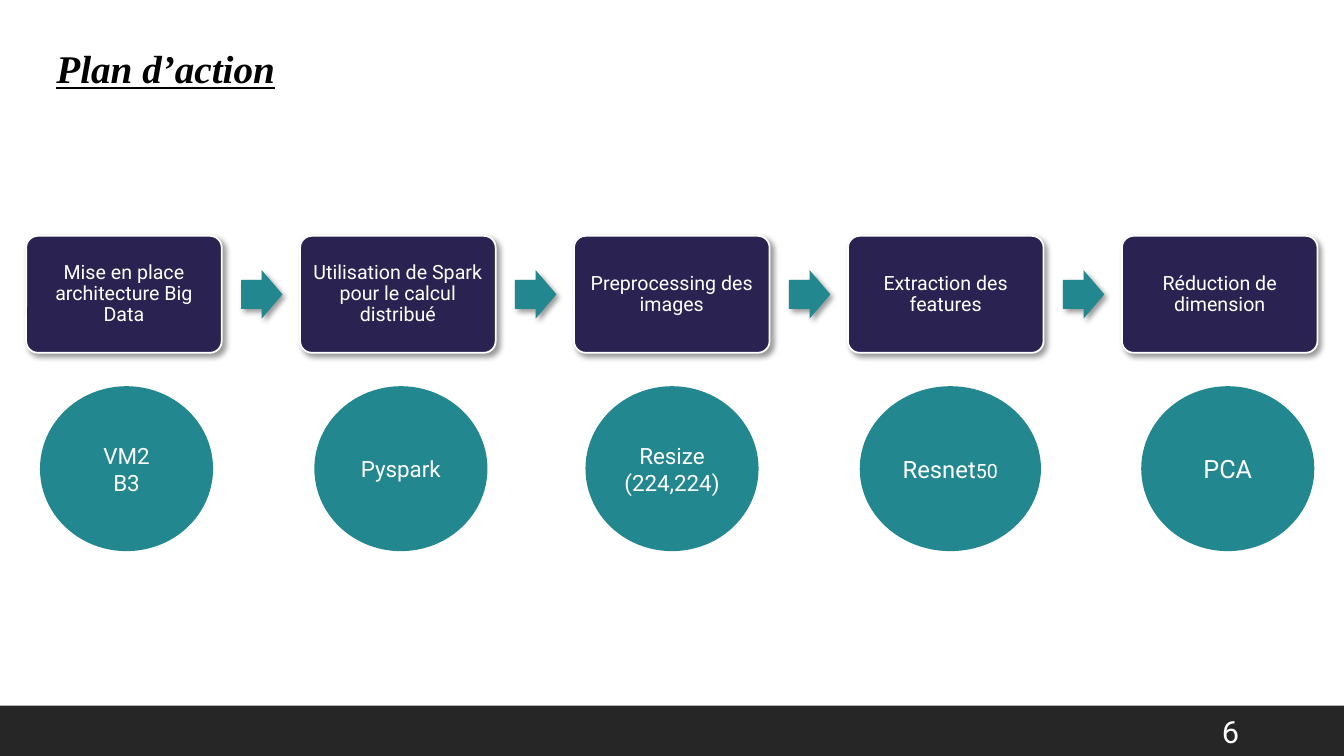
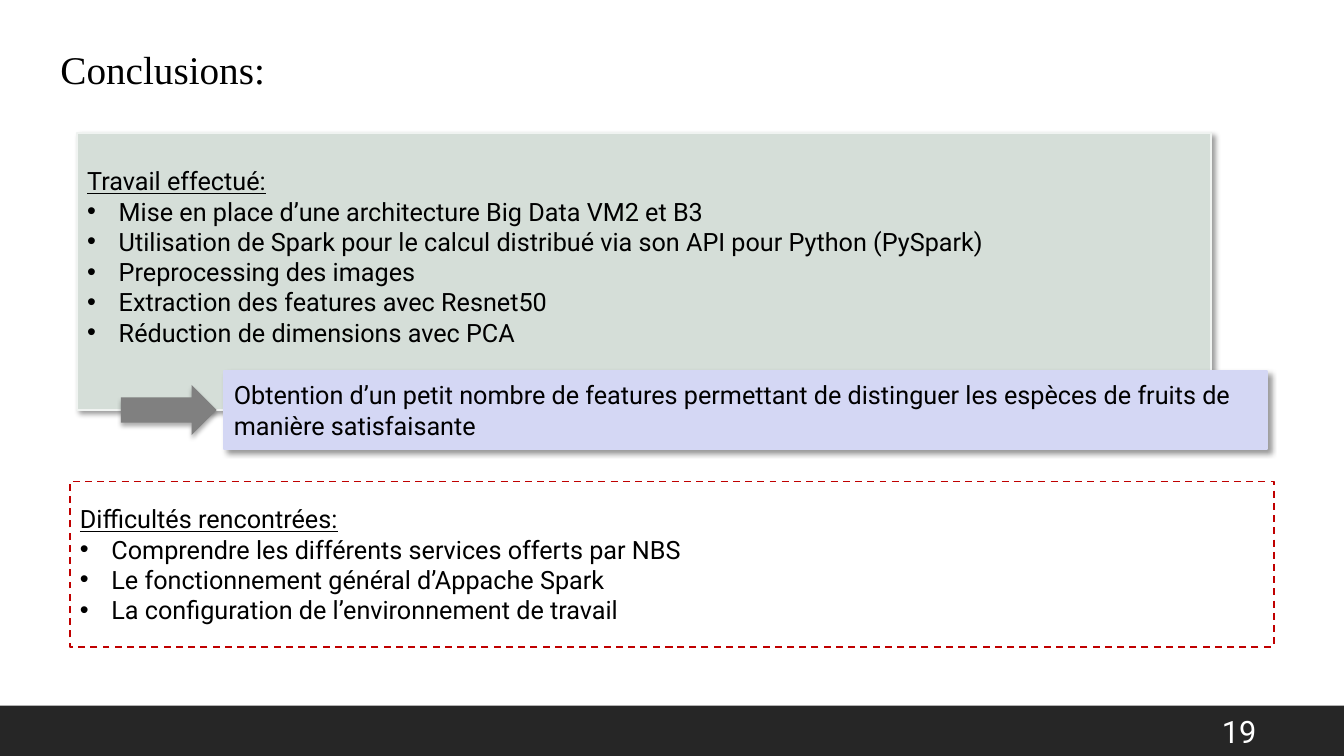
"""Builds the action plan and conclusions slides."""
from lxml.etree import SubElement
from pptx import Presentation
from pptx.dml.color import RGBColor
from pptx.enum.dml import MSO_LINE
from pptx.enum.shapes import MSO_SHAPE
from pptx.enum.text import MSO_ANCHOR, MSO_AUTO_SIZE, PP_ALIGN
from pptx.oxml.ns import qn
from pptx.util import Pt

DARK, NAVY, TEAL, GREY = "262626", "2A2352", "22878F", "808080"
SAGE, SAGE_EDGE, LILAC, RED = "D5DED8", "F0F3F1", "D4D7F4", "C00000"
WHITE, BLACK = "FFFFFF", "000000"
BODY_FONT, TITLE_FONT = "Roboto", "Times New Roman"
SOFT = (40, 4, 3, 45)
FLAT = (32, 3.5, 2.2, 90)

STEPS = [
    ("Mise en place architecture Big Data", [[("VM2", 16)], [("B3", 16)]], 10.5, 122.4),
    ("Utilisation de Spark pour le calcul distribué", [[("Pyspark", 16)]], 10.8, 122.4),
    ("Preprocessing des images", [[("Resize", 16)], [("(224,224)", 16)]], 8.8, 122.4),
    ("Extraction des features", [[("Resnet", 17), ("50", 14)]], 9, 128.2),
    ("Réduction de dimension", [[("PCA", 18)]], 14.4, 122.4),
]
WORK = ["Travail effectué:",
        "Mise en place d’une architecture Big Data VM2 et B3",
        "Utilisation de Spark pour le calcul distribué via son API pour Python (PySpark)",
        "Preprocessing des images",
        "Extraction des features avec Resnet50",
        "Réduction de dimensions avec PCA"]
RESULT = ("Obtention d’un petit nombre de features permettant de distinguer "
          "les espèces de fruits de manière satisfaisante")
ISSUES = ["Difficultés rencontrées:",
          "Comprendre les différents services offerts par NBS",
          "Le fonctionnement général d’Appache Spark",
          "La configuration de l’environnement de travail"]


def rgb(color):
    """Turn a hex string into a colour."""
    return RGBColor.from_string(color)


def place(sp, x, y, w, h):
    """Move and size a shape, in points."""
    sp.left, sp.top, sp.width, sp.height = Pt(x), Pt(y), Pt(w), Pt(h)


def paint(sp, fill, line=None, shadow=None):
    """Set the fill, outline and outer shadow of a shape."""
    sp.fill.solid()
    sp.fill.fore_color.rgb = rgb(fill)
    if line:
        sp.line.color.rgb = rgb(line)
        sp.line.width = Pt(1.25)
    else:
        sp.line.fill.background()
    sp.shadow.inherit = False
    if shadow:
        alpha, blur, dist, angle = shadow
        effects = sp.element.spPr.find(qn("a:effectLst"))
        outer = SubElement(effects, qn("a:outerShdw"), blurRad=str(Pt(blur)),
                           dist=str(Pt(dist)), dir=str(angle * 60000), rotWithShape="0")
        clr = SubElement(outer, qn("a:srgbClr"), val=BLACK)
        SubElement(clr, qn("a:alpha"), val=str(alpha * 1000))


def add_box(s, kind, box, fill, line=None, shadow=None):
    """Add a painted preset shape."""
    sp = s.shapes.add_shape(kind, *map(Pt, box))
    paint(sp, fill, line, shadow)
    return sp


def style(r, size, color, font=BODY_FONT):
    """Format one run."""
    r.font.size, r.font.name = Pt(size), font
    r.font.color.rgb = rgb(color)


def write(sp, lines, color, align=PP_ALIGN.LEFT):
    """Fill a shape with paragraphs of (text, size) runs."""
    tf = sp.text_frame
    tf.word_wrap, tf.vertical_anchor = True, MSO_ANCHOR.MIDDLE
    for i, runs in enumerate(lines):
        p = tf.add_paragraph() if i else tf.paragraphs[0]
        p.alignment = align
        for text, size in runs:
            r = p.add_run()
            r.text = text
            style(r, size, color)
    return tf


def add_title(s, title, x, y, emphasis=False):
    """Set and format the slide title."""
    sp = s.shapes.title
    place(sp, x, y, 552, 41)
    tf = sp.text_frame
    tf.text = title
    tf.margin_left = tf.margin_right = 0
    tf.vertical_anchor, tf.auto_size = MSO_ANCHOR.MIDDLE, MSO_AUTO_SIZE.NONE
    p = tf.paragraphs[0]
    p.alignment = PP_ALIGN.LEFT
    r = p.runs[0]
    style(r, 28, BLACK, TITLE_FONT)
    r.font.bold = r.font.italic = r.font.underline = emphasis


def add_footer(s, number):
    """Add the dark footer band and the page number on it."""
    add_box(s, MSO_SHAPE.RECTANGLE, (0, 504, 960, 36), DARK)
    page = s.shapes.add_textbox(Pt(865.7), Pt(507.6), Pt(61.2), Pt(28.8))
    write(page, [[(str(number), 22)]], WHITE)


def add_steps(s, x, y, w):
    """Lay out the chain of steps, with a tool under each one."""
    card_w, card_h, arrow_w, arrow_h = 139.7, 83.5, 29.6, 34.6
    pitch = (w - card_w) / (len(STEPS) - 1)
    for i, (label, tool, shift, tool_w) in enumerate(STEPS):
        left = x + i * pitch
        if i:
            arrow_box = (left - arrow_w - 12.6, y + (card_h - arrow_h) / 2, arrow_w, arrow_h)
            arrow = add_box(s, MSO_SHAPE.RIGHT_ARROW, arrow_box, TEAL, shadow=SOFT)
            arrow.adjustments[0] = 0.6
        card = add_box(s, MSO_SHAPE.ROUNDED_RECTANGLE, (left, y, card_w, card_h),
                       NAVY, WHITE, SOFT)
        card.adjustments[0] = 0.1
        tf = write(card, [[(label, 14)]], WHITE, PP_ALIGN.CENTER)
        tf.margin_left = tf.margin_right = Pt(4.2)
        tf.paragraphs[0].line_spacing = 0.9
        disc = add_box(s, MSO_SHAPE.OVAL, (left + shift, y + 108, tool_w, 116.6), TEAL, TEAL)
        write(disc, tool, WHITE, PP_ALIGN.CENTER)


def fill_list(sp, box, lines, bottom=3.6):
    """Write an underlined heading and its bullets in a body placeholder."""
    place(sp, *box)
    tf = write(sp, [[(text, 18)] for text in lines], BLACK)
    tf.auto_size, tf.margin_bottom = MSO_AUTO_SIZE.NONE, Pt(bottom)
    for i, p in enumerate(tf.paragraphs):
        p.space_before = Pt(0)
        indent = Pt(22.5) if i else 0
        pPr = p._p.get_or_add_pPr()
        pPr.set("marL", str(indent))
        pPr.set("indent", str(-indent))
        if i:
            SubElement(pPr, qn("a:buChar"), char="•")
        else:
            SubElement(pPr, qn("a:buNone"))
            p.runs[0].font.underline = True


def add_result(s, x, y, w, h):
    """Add the result box with the arrow that leads to it."""
    box = add_box(s, MSO_SHAPE.RECTANGLE, (x, y, w, h), LILAC, LILAC, SOFT)
    write(box, [[(RESULT, 18)]], BLACK)
    add_box(s, MSO_SHAPE.RIGHT_ARROW, (x - 73.6, y + 10, 68.4, 36), GREY, shadow=FLAT)


def plan_slide(prs):
    """Build the action plan slide."""
    s = prs.slides.add_slide(prs.slide_layouts[5])
    add_footer(s, 6)
    add_title(s, "Plan d’action", 40.3, 28, emphasis=True)
    add_steps(s, 18.7, 168.5, 922.4)


def conclusion_slide(prs):
    """Build the conclusions slide."""
    s = prs.slides.add_slide(prs.slide_layouts[3])
    add_footer(s, 19)
    add_title(s, "Conclusions:", 43.2, 28.6)
    work, issues = s.placeholders[1], s.placeholders[2]
    fill_list(work, (55.1, 94.8, 810, 198), WORK, bottom=25)
    paint(work, SAGE, SAGE_EDGE, SOFT)
    fill_list(issues, (49.9, 343.9, 859.9, 118), ISSUES)
    paint(issues, WHITE, RED)
    issues.line.dash_style = MSO_LINE.DASH
    add_result(s, 160, 264.9, 744.8, 56)


def main():
    """Build and save the presentation."""
    prs = Presentation()
    prs.slide_width, prs.slide_height = Pt(960), Pt(540)
    plan_slide(prs)
    conclusion_slide(prs)
    prs.save("out.pptx")


if __name__ == "__main__":
    main()
